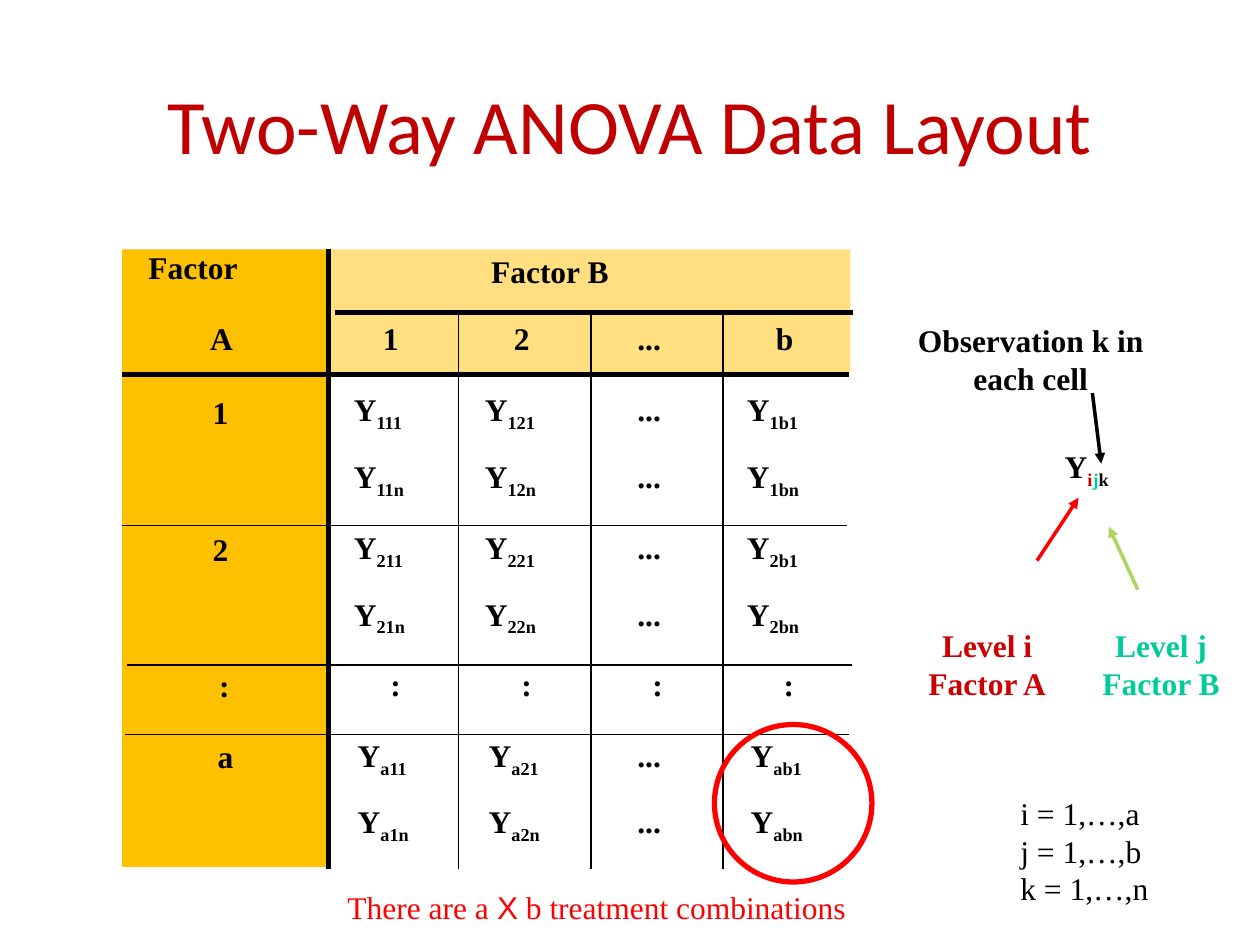
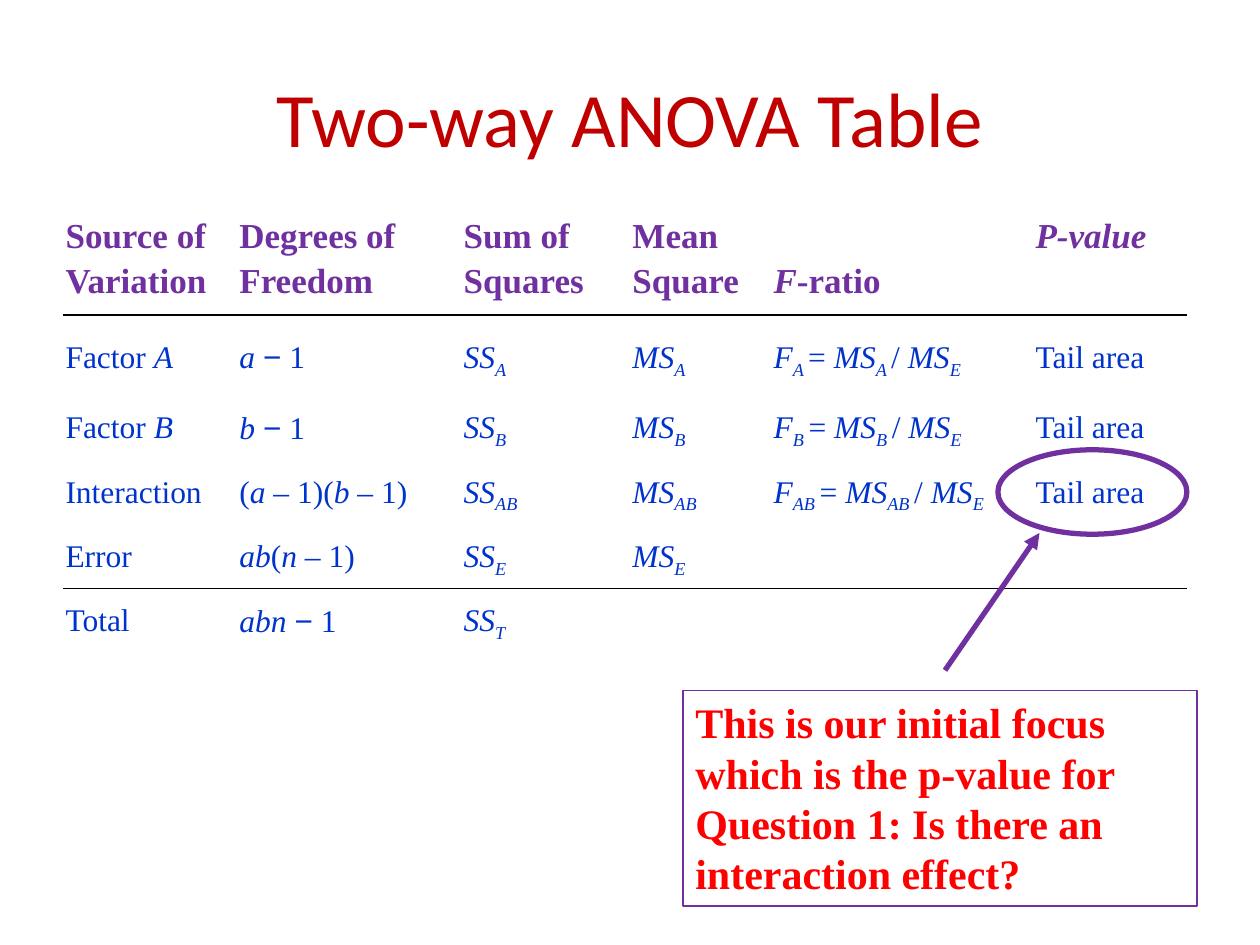
from dataclasses import dataclass
from typing import NamedTuple, Optional

from lxml import etree
from pptx import Presentation
from pptx.dml.color import RGBColor
from pptx.enum import shapes, text
from pptx.oxml import ns
from pptx.util import Inches, Pt

BLACK = RGBColor(0x00, 0x00, 0x00)
TITLE_RED = RGBColor(0xC0, 0x00, 0x00)
RED = RGBColor(0xFF, 0x00, 0x00)
LEVEL_I_RED = RGBColor(0xCC, 0x00, 0x00)
LEVEL_J_GREEN = RGBColor(0x00, 0xCC, 0x99)
ARROW_GREEN = RGBColor(0xB0, 0xD4, 0x60)
GOLD = RGBColor(0xFF, 0xC0, 0x00)
PURPLE = RGBColor(0x70, 0x30, 0xA0)
BLUE = RGBColor(0x00, 0x33, 0xCC)
SERIF, SANS = "Times New Roman", "Arial"


class Run(NamedTuple):
    text: str
    italic: bool = False
    sub: bool = False
    color: Optional[RGBColor] = None
    font: str = SERIF


class Style(NamedTuple):
    size: float = 18
    color: RGBColor = BLACK
    bold: bool = True
    align: text.PP_ALIGN = text.PP_ALIGN.LEFT


@dataclass
class Box:
    runs: str | list[Run]
    left: float
    top: float
    width: float
    height: float = 0.4
    style: Style = Style()
    wrap: bool = False


@dataclass
class Line:
    x1: float
    y1: float
    x2: float
    y2: float
    width: float = 1
    color: RGBColor = BLACK
    arrow: bool = False


@dataclass
class Shape:
    kind: shapes.MSO_SHAPE
    left: float
    top: float
    width: float
    height: float
    fill: Optional[RGBColor] = None
    line: Optional[RGBColor] = None
    alpha: int = 100


CENTERED = Style(align=text.PP_ALIGN.CENTER)
PLAIN = Style(bold=False)
HEADER = Style(20, PURPLE)
BODY = Style(18, BLUE, False)


def parse_markup(src: str) -> list[Run]:
    runs, italic, sub, word = [], False, False, ""
    for ch in src + "*":
        if ch not in "*_−\n":
            word += ch
            continue
        if word:
            runs.append(Run(word, italic, sub))
            word = ""
        if ch == "*":
            italic = not italic
        elif ch == "_":
            sub = not sub
        else:
            runs.append(Run(ch, font=SANS))
    return runs


def write(p, src: str | list[Run], style: Style) -> None:
    p.alignment = style.align
    for run in parse_markup(src) if isinstance(src, str) else src:
        if run.text == "\n":
            p.add_line_break()
            continue
        r = p.add_run()
        r.text = run.text
        f = r.font
        f.name, f.size, f.bold, f.italic = run.font, Pt(style.size), style.bold, run.italic
        f.color.rgb = run.color or style.color
        if run.sub:
            r._r.get_or_add_rPr().set("baseline", "-25000")


def add_box(s, box: Box):
    sp = s.shapes.add_textbox(*map(Inches, (box.left, box.top, box.width, box.height)))
    tf = sp.text_frame
    tf.word_wrap = box.wrap
    tf.auto_size = text.MSO_AUTO_SIZE.SHAPE_TO_FIT_TEXT
    write(tf.paragraphs[0], box.runs, box.style)
    return sp


def add_line(s, line: Line) -> None:
    ends = map(Inches, (line.x1, line.y1, line.x2, line.y2))
    c = s.shapes.add_connector(shapes.MSO_CONNECTOR.STRAIGHT, *ends)
    c.line.color.rgb = line.color
    c.line.width = Pt(line.width)
    sp_pr = c._element.spPr
    if line.arrow:
        etree.SubElement(sp_pr.find(ns.qn("a:ln")), ns.qn("a:tailEnd"), type="triangle")
    etree.SubElement(sp_pr, ns.qn("a:effectLst"))


def add_shape(s, shape: Shape) -> None:
    sp = s.shapes.add_shape(
        shape.kind, *map(Inches, (shape.left, shape.top, shape.width, shape.height)))
    sp.shadow.inherit = False
    if shape.fill is None:
        sp.fill.background()
    else:
        sp.fill.solid()
        sp.fill.fore_color.rgb = shape.fill
        if shape.alpha < 100:
            color = sp._element.spPr.find(".//" + ns.qn("a:srgbClr"))
            etree.SubElement(color, ns.qn("a:alpha"), val=str(shape.alpha * 1000))
    if shape.line is None:
        sp.line.fill.background()
    else:
        sp.line.color.rgb = shape.line
        sp.line.width = Pt(3)


def add_titled_slide(prs, title: str, left: float, top: float, width: float, height: float):
    s = prs.slides.add_slide(prs.slide_layouts[5])
    sp = s.shapes.title
    sp.left, sp.top, sp.width, sp.height = map(Inches, (left, top, width, height))
    tf = sp.text_frame
    tf.vertical_anchor = text.MSO_ANCHOR.MIDDLE
    write(tf.paragraphs[0], [Run(title, font="Calibri")],
          Style(44, TITLE_RED, False, text.PP_ALIGN.CENTER))
    return s


COLUMN_STEP = 1.04
DOTS_LEFT, DOTS_WIDTH = 2.88, 0.39
OBSERVATION_WIDTH = 0.7


def data_row(cells: list[str], left: float, top: float, width: float) -> list[Box]:
    boxes = []
    for j, cell in enumerate(cells):
        x, w = (DOTS_LEFT, DOTS_WIDTH) if cell == "..." else (left, width)
        boxes.append(Box(cell, x + j * COLUMN_STEP, top, w))
    return boxes


def observations(level: str, replicate: str) -> list[str]:
    return ["..." if b == "..." else f"Y_{level}{b}{replicate}_" for b in ("1", "2", "...", "b")]


def build_layout_slide(prs) -> None:
    s = add_titled_slide(prs, "Two-Way ANOVA Data Layout", 0, 0.42, 10, 1.12)
    rect, oval = shapes.MSO_SHAPE.RECTANGLE, shapes.MSO_SHAPE.OVAL
    add_shape(s, Shape(rect, 2.62, 1.98, 4.13, 0.98, GOLD, alpha=50))
    add_shape(s, Shape(rect, 0.97, 1.98, 1.62, 4.9, GOLD))

    symbol = [Run("Y"), Run("i", sub=True, color=LEVEL_I_RED),
              Run("j", sub=True, color=LEVEL_J_GREEN), Run("k", sub=True)]
    combinations = [Run("There are a "), Run("X", font=SANS), Run(" b treatment combinations")]
    boxes = [
        Box(symbol, 8, 3.5, 1.25, style=CENTERED, wrap=True),
        Box("Level i Factor A", 7.21, 4.92, 1.25, 0.7,
            CENTERED._replace(color=LEVEL_I_RED), True),
        Box("Level j Factor B", 8.59, 4.92, 1.25, 0.7,
            CENTERED._replace(color=LEVEL_J_GREEN), True),
        Box("Observation k in each cell", 6.92, 2.5, 2.52, 0.7, CENTERED, True),
        Box("Factor", 1.08, 1.92, 0.91),
        Box("Factor B", 3.8, 1.95, 1.14),
        Box("A", 1.57, 2.48, 0.38),
        Box("1", 1.59, 3.07, 0.33),
        Box("2", 1.59, 4.16, 0.33),
        Box(":", 1.64, 5.24, 0.28),
        Box("a", 1.63, 5.8, 0.33),
        *data_row(["1", "2", "...", "b"], 2.94, 2.48, 0.34),
        *data_row([":"] * 4, 3, 5.23, 0.28),
        Box("i = 1,…,a\nj = 1,…,b\nk = 1,…,n", 8, 6.25, 1.5, 1.01, PLAIN, True),
        Box(combinations, 2.66, 7, 5.26, style=PLAIN._replace(color=RED), wrap=True),
    ]
    for level, left, top in (("1", 2.71, 3.05), ("2", 2.71, 4.14), ("a", 2.74, 5.79)):
        for k, replicate in enumerate("1n"):
            boxes += data_row(observations(level, replicate), left, top + 0.53 * k,
                              OBSERVATION_WIDTH)
    for box in boxes:
        add_box(s, box)

    lines = [
        Line(8.67, 3.12, 8.74, 3.68, 2, arrow=True),
        Line(8.23, 4.45, 8.56, 3.95, 2, RED, True),
        Line(9.03, 4.68, 8.8, 4.18, 2, ARROW_GREEN, True),
        Line(2.61, 1.98, 2.61, 6.9, 3),
        Line(2.66, 2.48, 6.77, 2.48, 3),
        Line(0.97, 2.97, 6.74, 2.97, 3),
    ]
    lines += [Line(x, y, x + 5.75, y) for x, y in ((0.97, 4.17), (1.01, 5.28), (0.99, 5.83))]
    lines += [Line(x, 2.46, x, 6.9) for x in (3.64, 4.69, 5.74)]
    for line in lines:
        add_line(s, line)
    add_shape(s, Shape(oval, 5.67, 5.75, 1.25, 1.25, line=RED))


def effect_row(source: str, freedom: str, sub: str) -> list[str]:
    return [source, freedom, f"*SS_{sub}_*", f"*MS_{sub}_*",
            f"*F_{sub} _*= *MS_{sub} _*/ *MS_E_*", "Tail area"]


ANOVA_ROWS = [
    ["Source of|Variation", "Degrees of|Freedom", "Sum of|Squares", "Mean|Square",
     "*F*-ratio", "*P-value*"],
    effect_row("Factor *A*", "*a* − 1", "A"),
    effect_row("Factor *B*", "*b* − 1", "B"),
    effect_row("Interaction", "(*a* – 1)(*b* – 1)", "AB"),
    ["Error", "*ab*(*n* – 1)", "*SS_E_*", "*MS_E_*", "", ""],
    ["Total", "*abn* − 1", "*SS_T_*", "", "", ""],
]
COLUMN_WIDTHS = (1.38, 1.78, 1.34, 1.12, 2.08, 1.3)
ROW_HEIGHTS = (0.98, 0.56, 0.51, 0.51, 0.51, 0.51)


def add_anova_table(s) -> None:
    frame = s.shapes.add_table(len(ROW_HEIGHTS), len(COLUMN_WIDTHS), Inches(0.42),
                               Inches(1.67), Inches(9), Inches(sum(ROW_HEIGHTS)))
    table = frame.table
    table.first_row = table.horz_banding = False
    for column, width in zip(table.columns, COLUMN_WIDTHS):
        column.width = Inches(width)
    for i, (row, height) in enumerate(zip(table.rows, ROW_HEIGHTS)):
        row.height = Inches(height)
        for cell, content in zip(row.cells, ANOVA_ROWS[i]):
            cell.fill.background()
            tf = cell.text_frame
            for n, part in enumerate(content.split("|")):
                p = tf.add_paragraph() if n else tf.paragraphs[0]
                p.space_before = Pt(4 if n else 0)
                write(p, part, BODY if i else HEADER)
    table.cell(0, 4).margin_top = Inches(0.41)


def build_table_slide(prs) -> None:
    s = add_titled_slide(prs, "Two-way ANOVA Table", 0.5, 0.3, 9, 1.25)
    add_anova_table(s)
    for y in (2.5, 4.67):
        add_line(s, Line(0.5, y, 9.42, y, 0.75))
    add_shape(s, Shape(shapes.MSO_SHAPE.OVAL, 7.92, 3.57, 1.5, 0.67, line=PURPLE))
    add_line(s, Line(7.5, 5.32, 8.25, 4.23, 3, PURPLE, True))
    focus = add_box(s, Box(
        "This is our initial focus which is the p-value for Question 1: "
        "Is there an interaction effect?", 5.42, 5.48, 4.08, 1.71, Style(24, RED), True))
    focus.line.color.rgb = PURPLE
    focus.line.width = Pt(0.75)


def main() -> None:
    prs = Presentation()
    prs.slide_width, prs.slide_height = Inches(10), Inches(7.5)
    build_layout_slide(prs)
    build_table_slide(prs)
    prs.save("out.pptx")


if __name__ == "__main__":
    main()
